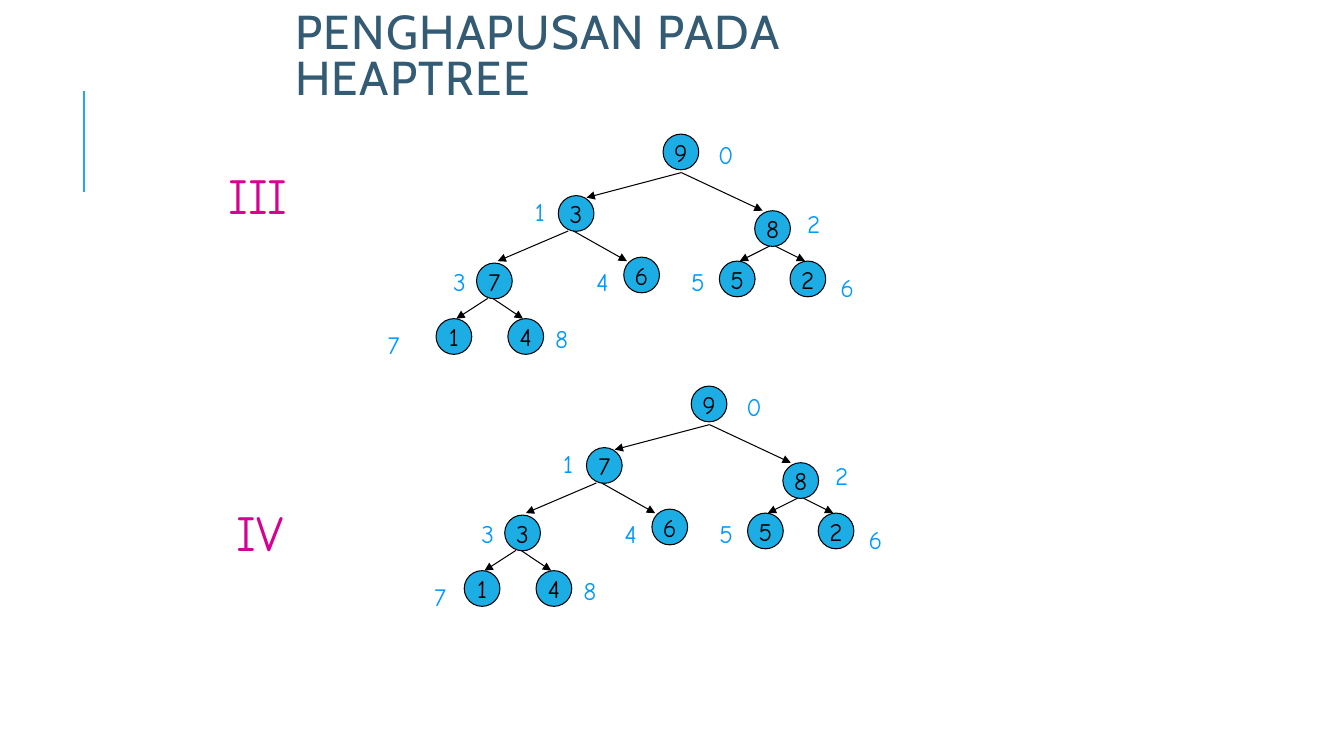
from dataclasses import dataclass

from lxml.etree import SubElement
from pptx import Presentation
from pptx.dml.color import RGBColor
from pptx.enum.shapes import MSO_CONNECTOR, MSO_SHAPE
from pptx.enum.text import MSO_ANCHOR, MSO_AUTO_SIZE, PP_ALIGN
from pptx.oxml.ns import qn
from pptx.util import Cm, Pt

# Content: lengths in cm, tree parts measured from the root's top left corner
TITLE = "PENGHAPUSAN PADA HEAPTREE"
STEPS = [
    {"name": "III", "heap": [9, 3, 8, 7, 6, 5, 2, 1, 4],
     "root": (16.71, 3.38), "name_at": (-11.2, 0.64), "index_7_at": (-7.19, 4.8)},
    {"name": "IV", "heap": [9, 7, 8, 3, 6, 5, 2, 1, 4],
     "root": (17.42, 9.73), "name_at": (-11.71, 2.77), "index_7_at": (-6.73, 4.8)},
]
NODE_AT = [(0, 0), (-2.64, 1.55), (2.31, 1.93), (-4.7, 3.25), (-0.99, 3.1),
           (1.42, 3.2), (3.2, 3.2), (-5.72, 4.65), (-3.91, 4.65)]
INDEX_AT = [(1.14, 0), (-3.48, 1.44), (3.38, 1.75), (-5.54, 3.2), (-1.93, 3.2),
            (0.46, 3.2), (4.22, 3.35), None, (-2.97, 4.65)]
BRANCHES = [  # parent end, child end
    ((-2.39, 2.44), (-4.17, 3.2)), ((-2.26, 2.44), (-0.91, 3.2)),
    ((2.69, 2.82), (1.93, 3.2)), ((2.82, 2.82), (3.58, 3.2)),
    ((-4.42, 4.14), (-5.21, 4.65)), ((-4.29, 4.14), (-3.53, 4.65)),
    ((0.46, 0.97), (-1.93, 1.6)), ((0.46, 0.97), (2.51, 1.93)),
]
NODE_SIZE = 0.9
INDEX_SIZE = (0.69, 1.02)
NAME_SIZE = (3.81, 1.78)


@dataclass(frozen=True)
class Theme:
    title_font: str = "Cabin"
    tree_font: str = "Comic Neue"
    title: RGBColor = RGBColor(0x33, 0x5B, 0x74)
    accent: RGBColor = RGBColor(0x1C, 0xAD, 0xE4)
    ink: RGBColor = RGBColor(0, 0, 0)
    index: RGBColor = RGBColor(0x00, 0x99, 0xFF)
    step: RGBColor = RGBColor(0xD6, 0x00, 0x93)
    title_pt: int = 34
    step_pt: int = 36
    node_pt: int = 18
    branch_pt: float = 0.75
    rule_pt: float = 1.5


THEME = Theme()


def write(shape, text, font, size, color):
    paragraph = shape.text_frame.paragraphs[0]
    run = paragraph.add_run()
    run.text = str(text)
    run.font.name, run.font.size = font, Pt(size)
    run.font.color.rgb = color
    return paragraph, run


def add_line(shapes, start, end, color, width, arrow=False):
    line = shapes.add_connector(MSO_CONNECTOR.STRAIGHT, *map(Cm, start + end))
    line.line.color.rgb, line.line.width = color, Pt(width)
    if arrow:
        SubElement(line.line._get_or_add_ln(), qn("a:tailEnd"), type="triangle")
    SubElement(line._element.spPr, qn("a:effectLst"))


def add_label(shapes, text, at, size, points, color):
    label = shapes.add_textbox(*map(Cm, at + size))
    label.text_frame.word_wrap = True
    label.text_frame.auto_size = MSO_AUTO_SIZE.SHAPE_TO_FIT_TEXT
    write(label, text, THEME.tree_font, points, color)


def add_node(shapes, value, at):
    node = shapes.add_shape(MSO_SHAPE.OVAL, *map(Cm, at + (NODE_SIZE, NODE_SIZE)))
    node.shadow.inherit = False
    node.fill.solid()
    node.fill.fore_color.rgb = THEME.accent
    node.line.color.rgb, node.line.width = THEME.ink, Pt(THEME.branch_pt)
    node.text_frame.word_wrap = False
    node.text_frame.vertical_anchor = MSO_ANCHOR.MIDDLE
    paragraph, _ = write(node, value, THEME.tree_font, THEME.node_pt, THEME.ink)
    paragraph.alignment = PP_ALIGN.CENTER


def add_step(slide, step):
    shapes = slide.shapes.add_group_shape().shapes
    left, top = step["root"]

    def place(offset):
        return left + offset[0], top + offset[1]

    for parent, child in BRANCHES:
        add_line(shapes, place(parent), place(child), THEME.ink, THEME.branch_pt, arrow=True)
    for index, value in enumerate(step["heap"]):
        add_node(shapes, value, place(NODE_AT[index]))
        index_at = INDEX_AT[index] or step["index_7_at"]
        add_label(shapes, index, place(index_at), INDEX_SIZE, THEME.node_pt, THEME.index)
    add_label(shapes, step["name"], place(step["name_at"]), NAME_SIZE, THEME.step_pt, THEME.step)


def main():
    deck = Presentation()
    deck.slide_width, deck.slide_height = Cm(33.87), Cm(19.05)
    slide = deck.slides.add_slide(deck.slide_layouts[6])

    # Side rule and title
    add_line(slide.shapes, (2.11, 4.83), (2.11, 2.29), THEME.accent, THEME.rule_pt)
    title = slide.shapes.add_textbox(Cm(7.19), Cm(0.64), Cm(18.62), Cm(2.11))
    title.text_frame.word_wrap = True
    title.text_frame.vertical_anchor = MSO_ANCHOR.BOTTOM
    paragraph, run = write(title, TITLE, THEME.title_font, THEME.title_pt, THEME.title)
    paragraph.line_spacing = 0.8
    run._r.get_or_add_rPr().set("spc", "100")

    # Heap trees
    for step in STEPS:
        add_step(slide, step)

    deck.save("out.pptx")


if __name__ == "__main__":
    main()
